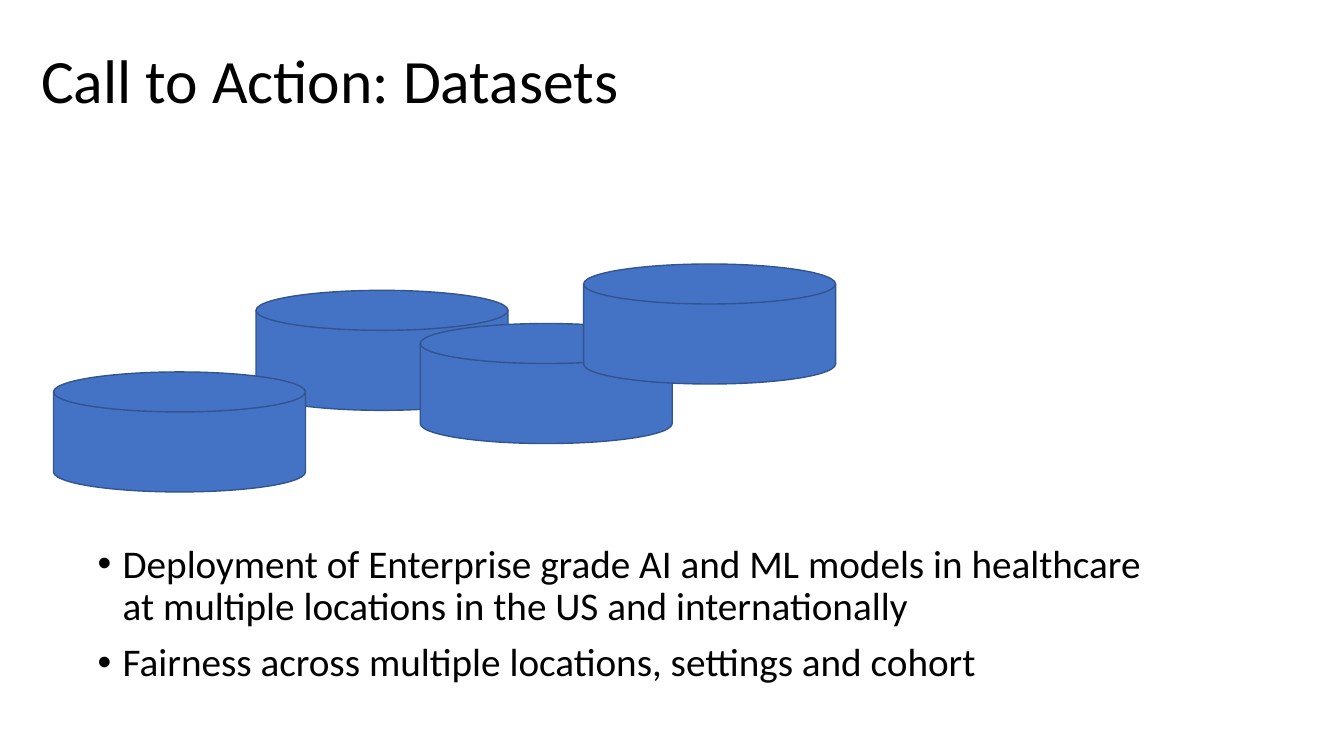
import pptx
import pptx.dml.color
import pptx.enum.shapes
import pptx.enum.text
import pptx.oxml
import pptx.oxml.ns
import pptx.util
from dataclasses import dataclass

Pt = pptx.util.Pt


@dataclass(frozen=True)
class Theme:
    font: str = "Calibri"
    text: str = "000000"
    disk_fill: str = "4472C4"
    disk_line: str = "325491"
    title_size: float = 44
    body_size: float = 28
    line_width: float = 1
    line_spacing: float = 0.9
    bullet_indent: float = 18
    bullet_gap: float = 10


def color(value):
    return pptx.dml.color.RGBColor.from_string(value)


def set_format(target, values):
    for name, value in values.items():
        setattr(target, name, value)


class SlideBuilder:
    def __init__(self, slide, theme):
        self.slide = slide
        self.theme = theme

    def text_box(self, bounds, lines, size, anchor, bulleted=False):
        shape = self.slide.shapes.add_textbox(*map(Pt, bounds))
        frame = shape.text_frame
        set_format(frame, {"word_wrap": True, "vertical_anchor": anchor})
        for index, line in enumerate(lines):
            paragraph = frame.add_paragraph() if index else frame.paragraphs[0]
            paragraph.text = line
            paragraph.line_spacing = self.theme.line_spacing
            if index:
                paragraph.space_before = Pt(self.theme.bullet_gap)
            if bulleted:
                self.add_bullet(paragraph)
            set_format(paragraph.font, {"name": self.theme.font, "size": Pt(size)})
            paragraph.font.color.rgb = color(self.theme.text)

    def add_bullet(self, paragraph):
        properties = paragraph._p.get_or_add_pPr()
        indent = Pt(self.theme.bullet_indent)
        properties.set("marL", str(indent))
        properties.set("indent", str(-indent))
        namespace = pptx.oxml.ns.nsdecls("a")
        for element in ('buFont {} typeface="Arial"', 'buChar {} char="•"'):
            properties.append(pptx.oxml.parse_xml(f"<a:{element.format(namespace)}/>"))

    def disk(self, left, top, width, height):
        kind = pptx.enum.shapes.MSO_SHAPE.FLOWCHART_MAGNETIC_DISK
        shape = self.slide.shapes.add_shape(kind, *map(Pt, (left, top, width, height)))
        shape.shadow.inherit = False
        shape.fill.solid()
        shape.fill.fore_color.rgb = color(self.theme.disk_fill)
        shape.line.color.rgb = color(self.theme.disk_line)
        shape.line.width = Pt(self.theme.line_width)


def main():
    presentation = pptx.Presentation()
    set_format(presentation, {"slide_width": Pt(960), "slide_height": Pt(540)})
    slide = presentation.slides.add_slide(presentation.slide_layouts[6])
    theme = Theme()
    builder = SlideBuilder(slide, theme)
    anchors = pptx.enum.text.MSO_ANCHOR

    builder.text_box((22.3, 7.2, 828, 104.4), ["Call to Action: Datasets"],
                     theme.title_size, anchors.MIDDLE)
    builder.text_box((62.6, 385.2, 765.4, 126), [
        "Deployment of Enterprise grade AI and ML models in healthcare "
        "at multiple locations in the US and internationally",
        "Fairness across multiple locations, settings and cohort",
    ], theme.body_size, anchors.TOP, bulleted=True)

    dataset_positions = [(182.9, 207.4), (300.2, 231.1), (416.9, 188.6), (38.2, 265.7)]
    for left, top in dataset_positions:
        builder.disk(left, top, 180, 85.7)

    presentation.save("out.pptx")


if __name__ == "__main__":
    main()
